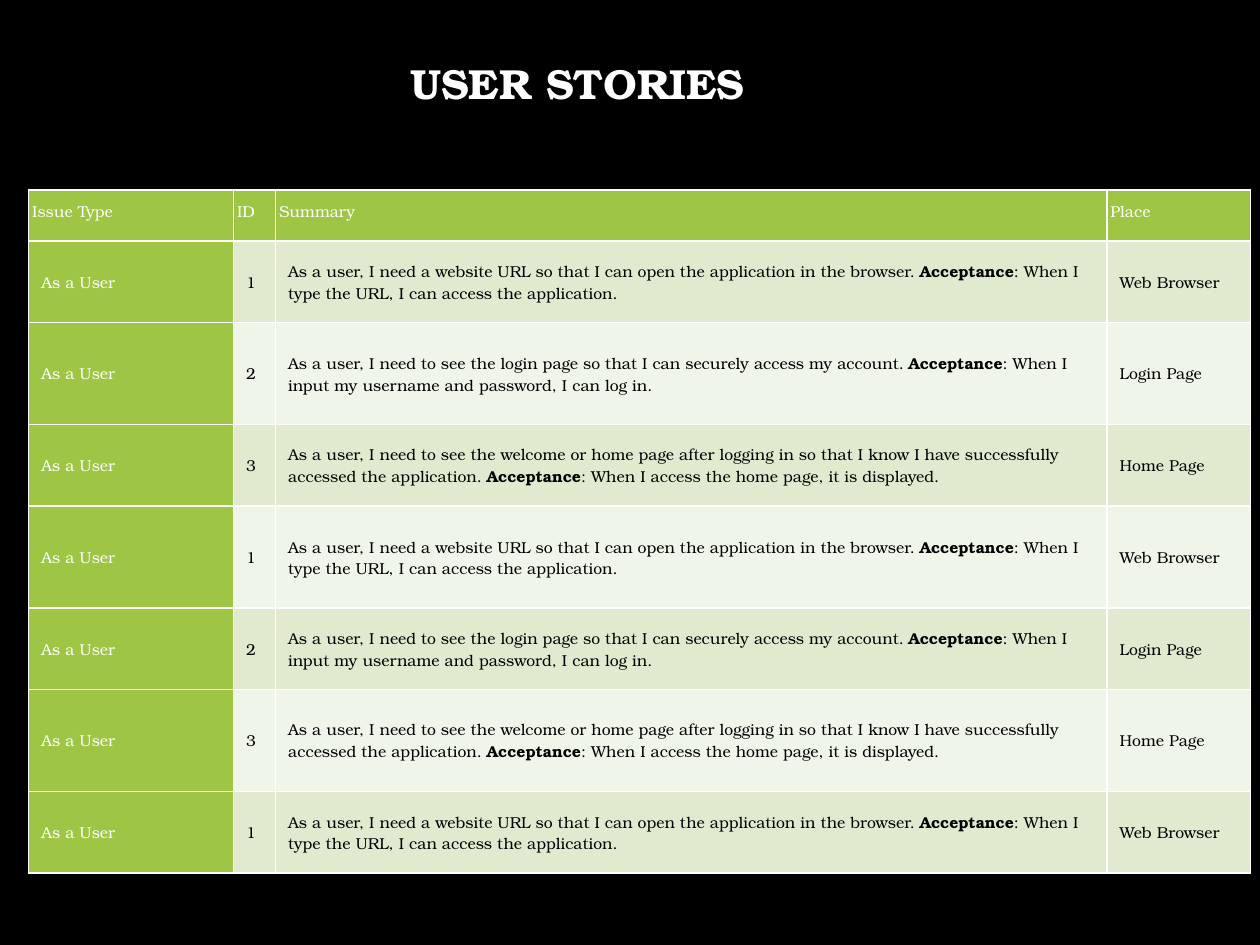
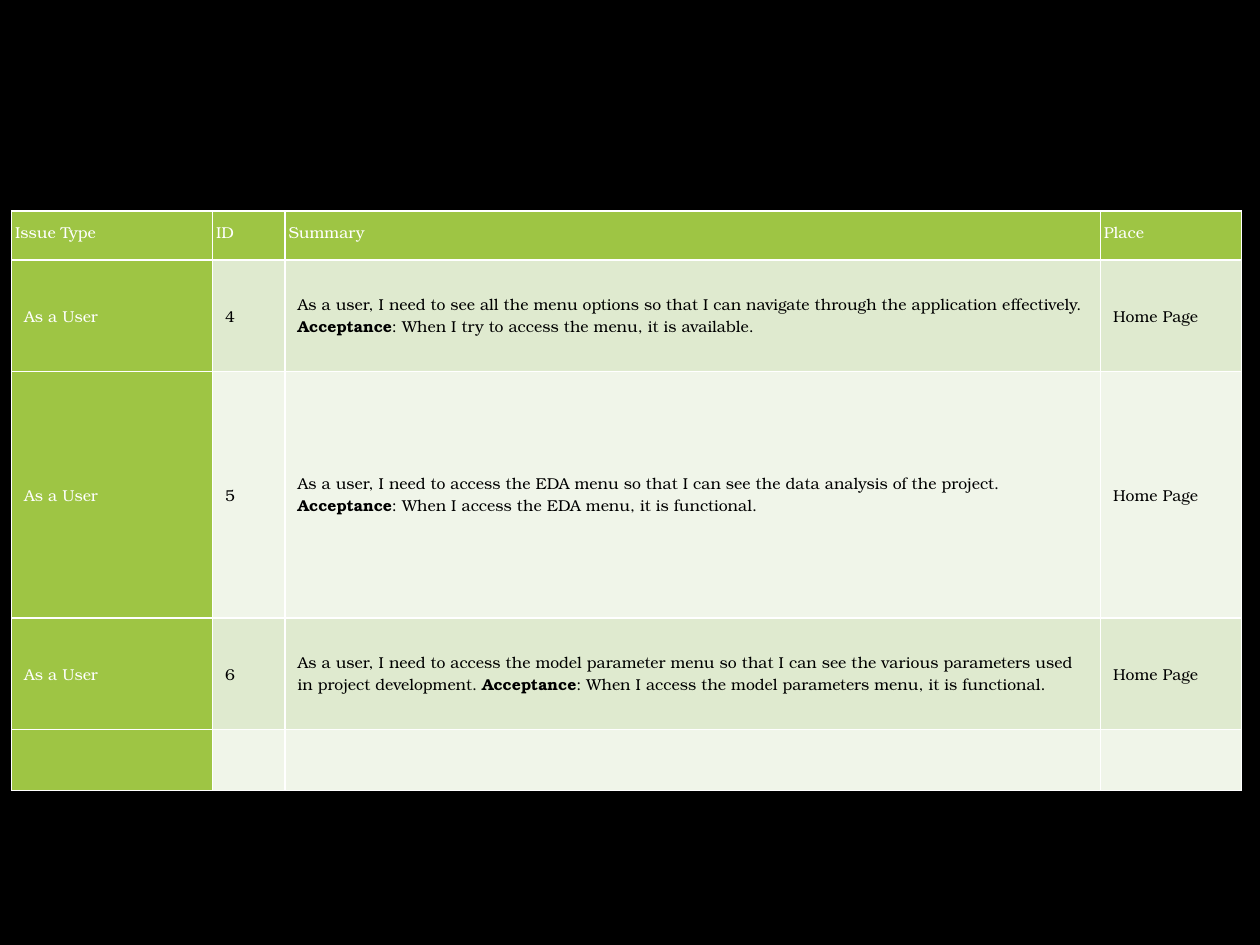
"""Build two slides of user stories as banded tables."""
from dataclasses import dataclass
from itertools import cycle, islice
from typing import NamedTuple, Optional

from lxml import etree
from pptx import Presentation
from pptx.dml.color import RGBColor
from pptx.enum.text import MSO_ANCHOR, PP_ALIGN
from pptx.oxml.ns import qn
from pptx.slide import Slide
from pptx.table import _Cell
from pptx.text.text import Font
from pptx.util import Pt

MIDDLE = MSO_ANCHOR.MIDDLE
TOP = MSO_ANCHOR.TOP
CENTER = PP_ALIGN.CENTER
JUSTIFY = PP_ALIGN.JUSTIFY


@dataclass(frozen=True)
class Theme:
    back: str = "000000"
    light: str = "FFFFFF"
    dark: str = "000000"
    green: str = "9EC544"
    bands: tuple[str, str] = ("DFEACF", "F0F5E9")
    face: str = "TeX Gyre Bonum"
    title: float = 24
    body: float = 9
    rule: float = 1


class Story(NamedTuple):
    id: int
    need: str
    proof: str
    place: str


class Grid(NamedTuple):
    left: float
    top: float
    cols: list[float]
    rows: list[float]
    items: list[Optional[Story]]


THEME = Theme()
HEADS = ("Issue Type", "ID", "Summary", "Place")
WEB = Story(1, "a website URL so that I can open the application in the browser",
            "type the URL, I can access the application", "Web Browser")
LOGIN = Story(2, "to see the login page so that I can securely access my account",
              "input my username and password, I can log in", "Login Page")
HOME = Story(3, "to see the welcome or home page after logging in so that I know "
             "I have successfully accessed the application",
             "access the home page, it is displayed", "Home Page")
MENU = Story(4, "to see all the menu options so that I can navigate through the "
             "application effectively",
             "try to access the menu, it is available", "Home Page")
EDA = Story(5, "to access the EDA menu so that I can see the data analysis of the project",
            "access the EDA menu, it is functional", "Home Page")
MODEL = Story(6, "to access the model parameter menu so that I can see the various "
              "parameters used in project development",
              "access the model parameters menu, it is functional", "Home Page")

FIRST = Grid(16.4, 108.6, [117.1, 24, 475.1, 82],
             [29.2, *islice(cycle((46.4, 58.5)), 7)],
             list(islice(cycle((WEB, LOGIN, HOME)), 7)))
SECOND = Grid(6.6, 120.6, [114.9, 41.4, 466, 80.6],
              [28, 63.7, 140.9, 63.7, 34.8], [MENU, EDA, MODEL, None])


def style(font: Font, size: float, color: str, bold: bool = False) -> None:
    font.name = THEME.face
    font.size = Pt(size)
    font.bold = bold
    font.color.rgb = RGBColor.from_string(color)


def paint(cell: _Cell, color: str) -> None:
    props = cell._tc.get_or_add_tcPr()
    for side in ("lnL", "lnR", "lnT", "lnB"):
        line = etree.SubElement(props, qn(f"a:{side}"), w=str(Pt(THEME.rule)))
        fill = etree.SubElement(line, qn("a:solidFill"))
        etree.SubElement(fill, qn("a:srgbClr"), val=THEME.light)
    cell.fill.solid()
    cell.fill.fore_color.rgb = RGBColor.from_string(color)


def write(cell: _Cell, parts: list[str], color: str) -> None:
    """Fill a cell with text parts, every second one bold."""
    cell.vertical_anchor = MIDDLE
    para = cell.text_frame.paragraphs[0]
    for num, part in enumerate(parts):
        run = para.add_run()
        run.text = part
        style(run.font, THEME.body, color, bold=num % 2 == 1)


def head(cell: _Cell, text: str) -> None:
    write(cell, [text], THEME.light)
    cell.vertical_anchor = TOP
    cell.margin_left = cell.margin_right = Pt(2)
    cell.margin_top = cell.margin_bottom = Pt(0)
    para = cell.text_frame.paragraphs[0]
    para.alignment = JUSTIFY
    para.line_spacing = 1.5
    para.space_after = Pt(8)
    paint(cell, THEME.green)


def draw_grid(slide: Slide, grid: Grid) -> None:
    frame = slide.shapes.add_table(
        len(grid.rows), len(grid.cols), Pt(grid.left), Pt(grid.top),
        Pt(sum(grid.cols)), Pt(sum(grid.rows)))
    table = frame.table
    table.horz_banding = False
    for col, width in zip(table.columns, grid.cols):
        col.width = Pt(width)
    for row, height in zip(table.rows, grid.rows):
        row.height = Pt(height)
    for cell, text in zip(table.rows[0].cells, HEADS):
        head(cell, text)
    for num, item in enumerate(grid.items):
        cells = list(table.rows[num + 1].cells)
        for pos, cell in enumerate(cells):
            paint(cell, THEME.bands[num % 2] if pos else THEME.green)
        if item is None:
            continue
        need = f"As a user, I need {item.need}. "
        texts = (["As a User"], [str(item.id)],
                 [need, "Acceptance", f": When I {item.proof}."], [item.place])
        for pos, (cell, parts) in enumerate(zip(cells, texts)):
            write(cell, parts, THEME.dark if pos else THEME.light)


def draw_title(slide: Slide, text: str) -> None:
    box = slide.shapes.add_textbox(Pt(20), Pt(23.8), Pt(620), Pt(51))
    frame = box.text_frame
    frame.word_wrap = True
    frame.vertical_anchor = MIDDLE
    frame.text = text
    para = frame.paragraphs[0]
    para.alignment = CENTER
    para.line_spacing = 0.9
    style(para.runs[0].font, THEME.title, THEME.light, bold=True)


def main() -> None:
    deck = Presentation()
    deck.slide_width, deck.slide_height = Pt(720), Pt(540)
    for grid, title in ((FIRST, "USER STORIES"), (SECOND, "")):
        slide = deck.slides.add_slide(deck.slide_layouts[6])
        fill = slide.background.fill
        fill.solid()
        fill.fore_color.rgb = RGBColor.from_string(THEME.back)
        if title:
            draw_title(slide, title)
        draw_grid(slide, grid)
    deck.save("out.pptx")


if __name__ == "__main__":
    main()
